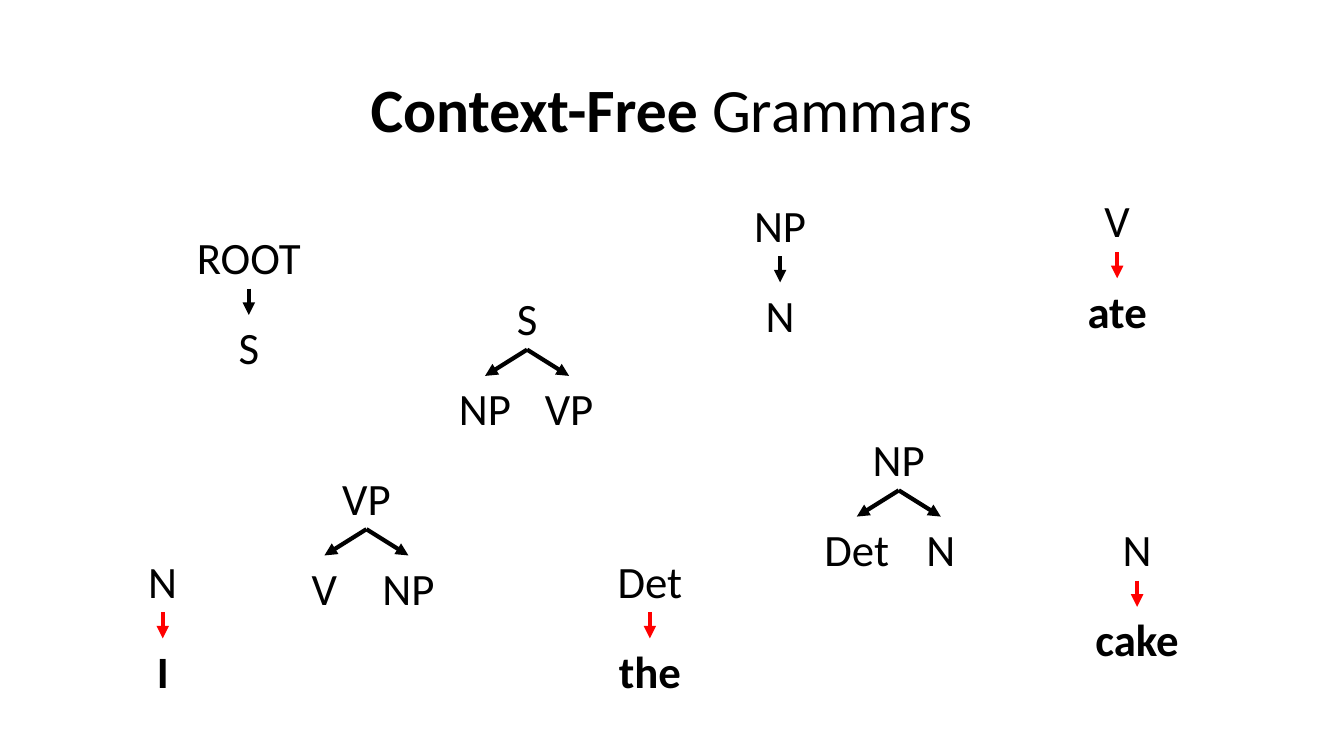
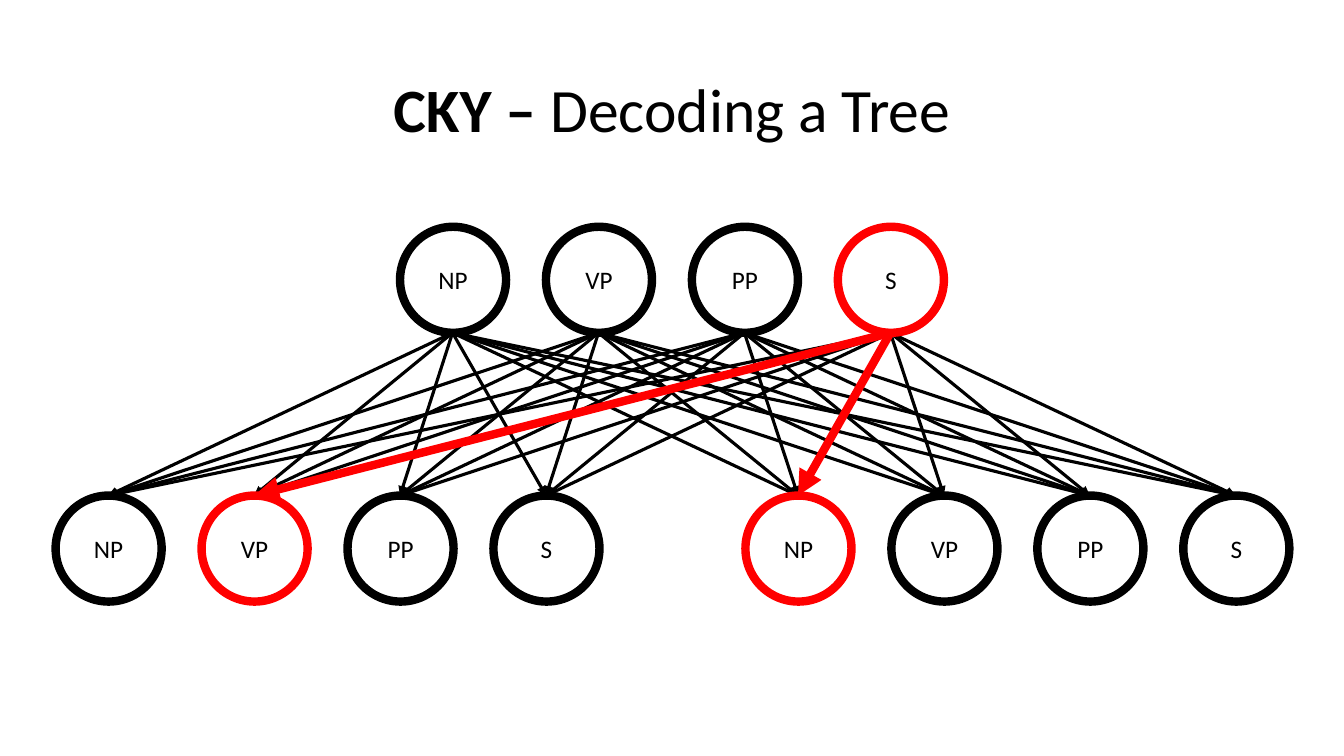
from dataclasses import dataclass
from itertools import product

from lxml import etree
from pptx import Presentation
from pptx import util as u
from pptx.dml.color import RGBColor
from pptx.enum import shapes, text
from pptx.oxml.ns import qn

PX = 9525  # EMU; 96 px to the inch


@dataclass(frozen=True)
class Theme:
    font: str = "Calibri"
    ink: RGBColor = RGBColor(0, 0, 0)
    accent: RGBColor = RGBColor(255, 0, 0)
    paper: RGBColor = RGBColor(255, 255, 255)
    title: float = 44
    symbol: float = 32
    label: float = 18
    rule_line: float = 3
    edge_line: float = 2.25
    heavy_line: float = 6


class Deck:
    def __init__(self, theme):
        self.t = theme
        self.prs = Presentation()
        self.prs.slide_width, self.prs.slide_height = 1280 * PX, 720 * PX

    def slide(self, bold, plain):
        """Start a slide whose title has a bold and a plain part."""
        self.s = self.prs.slides.add_slide(self.prs.slide_layouts[6])
        sp = self.s.shapes.add_textbox(*(v * PX for v in (88, 38, 1104, 139)))
        p = self.set_text(sp, [(bold, True), (plain, False)], self.t.title)
        p.line_spacing = 0.9

    def set_text(self, sp, runs, size):
        """Centre (text, bold) runs in a shape and return the paragraph."""
        tf = sp.text_frame
        tf.word_wrap = True
        tf.vertical_anchor = text.MSO_ANCHOR.MIDDLE
        tf.margin_left = tf.margin_right = tf.margin_top = tf.margin_bottom = 0
        p = tf.paragraphs[0]
        p.alignment = text.PP_ALIGN.CENTER
        p.font.name, p.font.size = self.t.font, u.Pt(size)
        p.font.color.rgb = self.t.ink
        for words, bold in runs:
            r = p.add_run()
            r.text, r.font.bold = words, bold
        return p

    def symbol(self, cx, top, name, width, bold=False):
        sp = self.s.shapes.add_textbox(
            (cx - width // 2) * PX, top * PX, width * PX, 61 * PX)
        self.set_text(sp, [(name, bold)], self.t.symbol)
        return sp

    def arrow(self, start, end, color, width):
        cxn = self.s.shapes.add_connector(
            shapes.MSO_CONNECTOR.STRAIGHT, *(v * PX for v in start + end))
        cxn.line.color.rgb, cxn.line.width = color, u.Pt(width)
        props = cxn.element.spPr
        etree.SubElement(props.find(qn("a:ln")), qn("a:tailEnd"), type="triangle")
        etree.SubElement(props, qn("a:effectLst"))
        return cxn

    def rule(self, cx, top, parent, children, terminal=False):
        """Draw a grammar rule: a parent symbol with arrows to its children."""
        head = self.symbol(cx, top, parent, 148)
        color = self.t.accent if terminal else self.t.ink
        spread, width = (80, 82) if len(children) > 1 else (0, 148)
        for i, name in enumerate(children):
            x = cx - spread // 2 + i * spread
            child = self.symbol(x, top + 86, name, width, terminal)
            cxn = self.arrow((cx, top + 61), (x, top + 86), color, self.t.rule_line)
            cxn.begin_connect(head, 2)
            cxn.end_connect(child, 0)

    def circle(self, cx, top, size, name, chosen):
        sp = self.s.shapes.add_shape(
            shapes.MSO_SHAPE.OVAL, (cx - size // 2) * PX, top * PX, size * PX, size * PX)
        sp.shadow.inherit = False
        sp.fill.solid()
        sp.fill.fore_color.rgb = self.t.paper
        sp.line.color.rgb = self.t.accent if chosen else self.t.ink
        sp.line.width = u.Pt(self.t.heavy_line)
        self.set_text(sp, [(name, False)], self.t.label)


def grammar_slide(d):
    d.slide("Context-Free ", "Grammars")
    for cx, top, parent, children in (
        (237, 214, "ROOT", ["S"]),
        (502, 272, "S", ["NP", "VP"]),
        (349, 443, "VP", ["V", "NP"]),
        (856, 406, "NP", ["Det", "N"]),
        (743, 183, "NP", ["N"]),
    ):
        d.rule(cx, top, parent, children)
    for cx, top, parent, word in (
        (619, 522, "Det", "the"),
        (1083, 492, "N", "cake"),
        (1064, 179, "V", "ate"),
        (155, 522, "N", "I"),
    ):
        d.rule(cx, top, parent, [word], terminal=True)


def decoding_slide(d):
    d.slide("CKY – ", "Decoding a Tree")
    names, step, size = ("NP", "VP", "PP", "S"), 139, 101
    parent_top, child_top = 216, 472
    parents, left, right = (
        [x + i * step for i in range(len(names))] for x in (431, 103, 760))
    children = left + right
    root, chosen = parents[3], (left[1], right[0])

    def edge(a, b, color, width):
        d.arrow((a, parent_top + size), (b, child_top), color, width)

    for a, b in product(parents, children):
        if a != root or b not in chosen:
            edge(a, b, d.t.ink, d.t.edge_line)
    for row, top in ((parents, parent_top), (left, child_top), (right, child_top)):
        picked = (root,) if row is parents else chosen
        for cx, name in zip(row, names):
            d.circle(cx, top, size, name, cx in picked)
    for b in chosen:
        edge(root, b, d.t.accent, d.t.heavy_line)


def main():
    d = Deck(Theme())
    grammar_slide(d)
    decoding_slide(d)
    d.prs.save("out.pptx")


if __name__ == "__main__":
    main()
